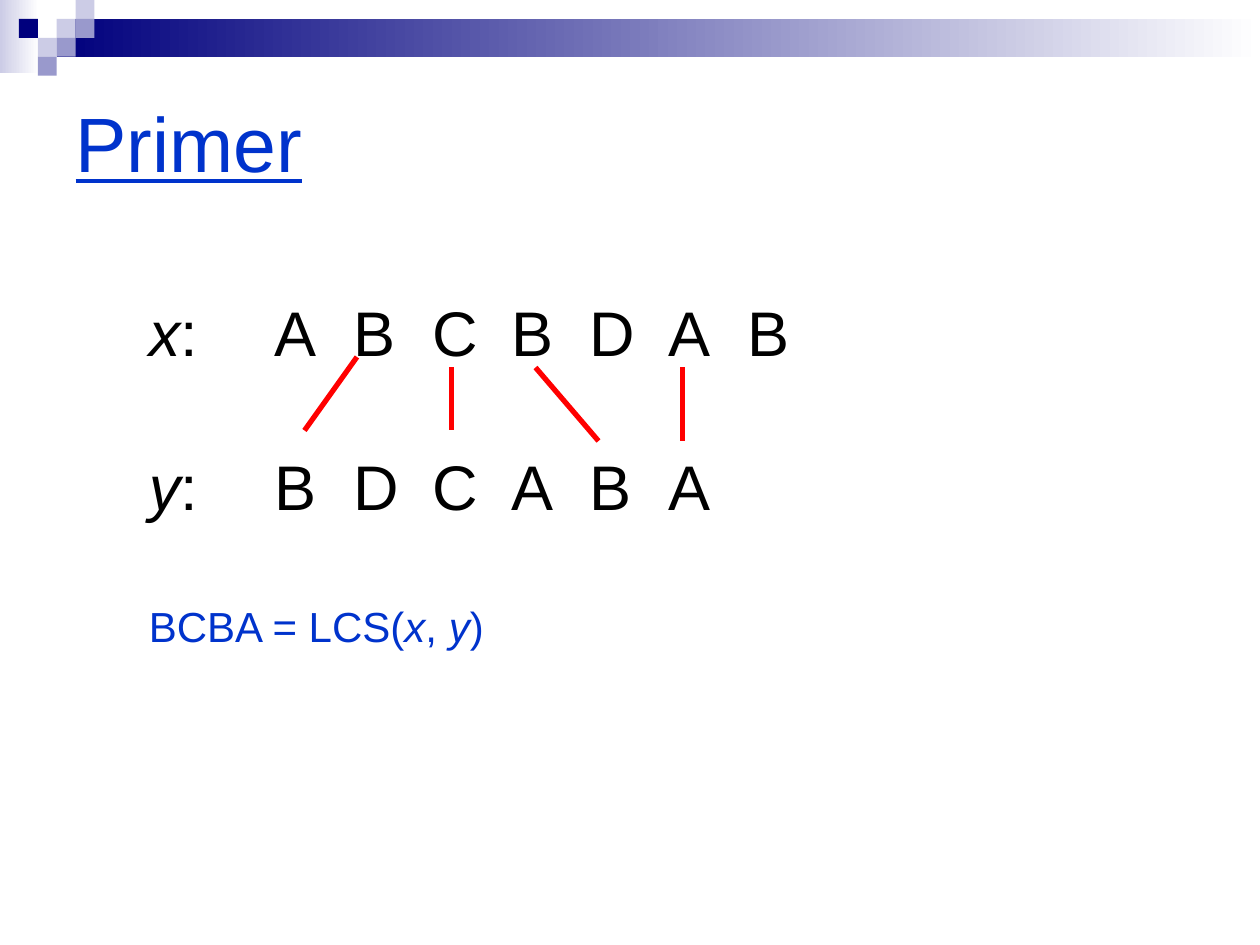
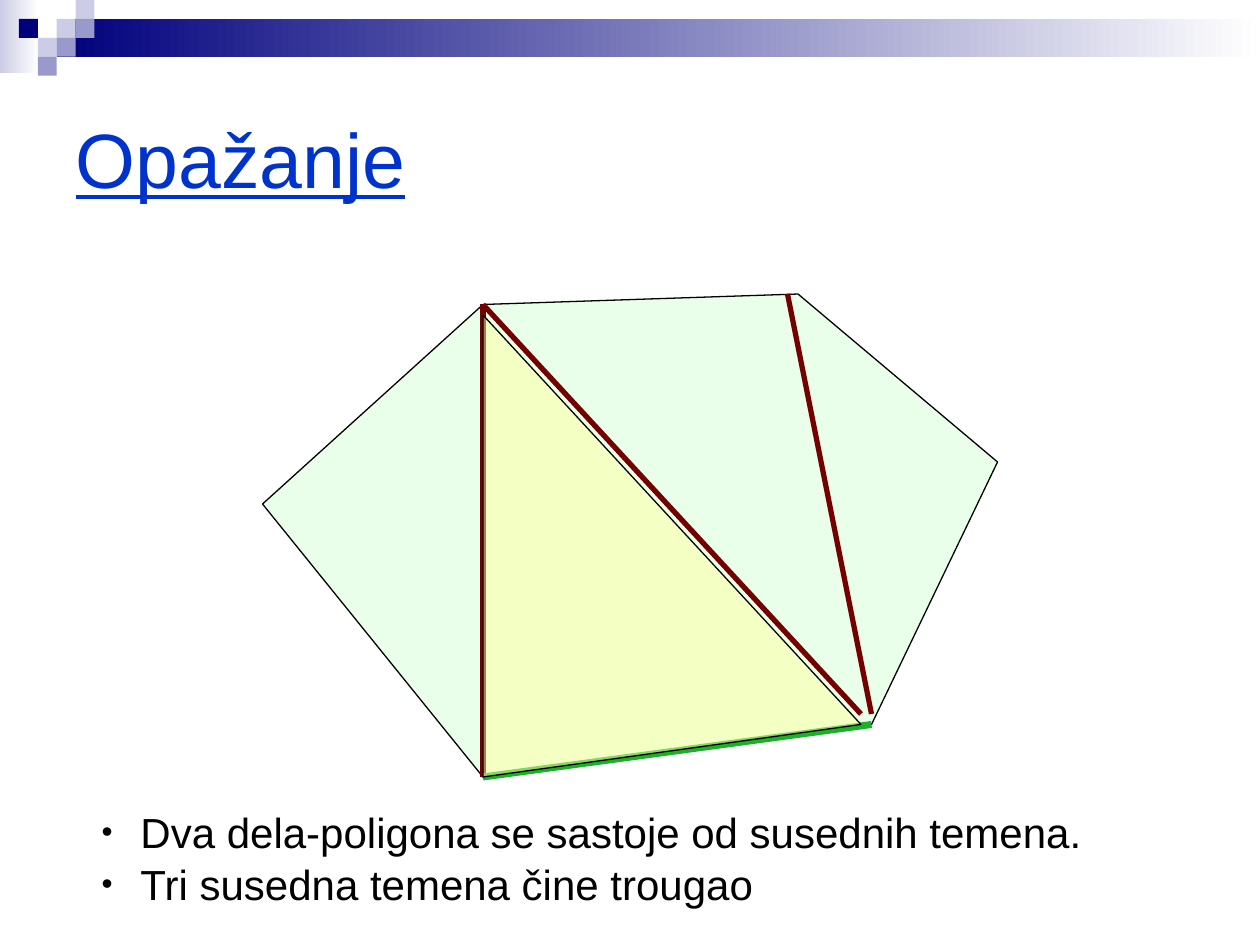
from dataclasses import dataclass

from lxml import etree
from pptx import Presentation
from pptx.dml.color import RGBColor
from pptx.enum.shapes import MSO_CONNECTOR, MSO_SHAPE
from pptx.enum.text import MSO_ANCHOR, MSO_AUTO_SIZE, PP_ALIGN
from pptx.oxml.ns import qn
from pptx.util import Pt

PX = 7620  # EMU, 120 px to the inch
RECT = MSO_SHAPE.RECTANGLE
STRAIGHT = MSO_CONNECTOR.STRAIGHT
MIDDLE = MSO_ANCHOR.MIDDLE
LEFT = PP_ALIGN.LEFT
NO_FIT = MSO_AUTO_SIZE.NONE
TITLE_ONLY = 5


@dataclass(frozen=True)
class Theme:
    font: str = "Arial"
    ink: str = "000000"
    blue: str = "0033CC"
    navy: str = "00007D"
    mid: str = "9999CC"
    pale: str = "CCCCE6"
    white: str = "FFFFFF"
    red: str = "FF0000"
    maroon: str = "740000"
    green: str = "1CB02B"
    mint: str = "CCFFCC"
    lemon: str = "FFFF99"
    title: int = 44
    row: int = 36
    body: int = 24
    leading: float = 1.04
    gap: int = 43


T = Theme()
TILE = 18
TILES = [(3, 1, T.pale), (4, 0, T.pale), (4, 1, T.mid), (2, 2, T.pale),
         (1, 1, T.navy), (3, 2, T.mid), (2, 3, T.mid)]


def rgb(tone):
    return RGBColor.from_string(tone)


def sub(node, tag, **attrs):
    return etree.SubElement(node, qn(tag), attrs)


def add_rect(slide, box, tone, fade=False):
    """Add a borderless rectangle, solid or fading to white on the right."""
    rect = slide.shapes.add_shape(RECT, *(n * PX for n in box))
    rect.shadow.inherit = False
    rect.line.fill.background()
    if fade:
        rect.fill.gradient()
        rect.fill.gradient_angle = 0
        for stop, hue in zip(rect.fill.gradient_stops, (tone, T.white)):
            stop.color.rgb = rgb(hue)
    else:
        rect.fill.solid()
        rect.fill.fore_color.rgb = rgb(tone)
    return rect


def set_band(prs, slide):
    """Draw the top band on a slide, then move it to the master."""
    parts = [add_rect(slide, (0, 0, 37, 70), T.pale, fade=True),
             add_rect(slide, (54, 18, 1146, 36), T.navy, fade=True)]
    parts += [add_rect(slide, (col * TILE, row * TILE, TILE, TILE), tone)
              for col, row, tone in TILES]
    tree = prs.slide_master.shapes.element
    for n, part in enumerate(parts):
        part.element.nvSpPr.cNvPr.set("id", str(50 + n))
        tree.insert(2 + n, part.element)


def add_run(para, text, size, tone=T.ink, slant=False):
    run = para.add_run()
    run.text = text
    run.font.name = T.font
    run.font.size = Pt(size)
    run.font.color.rgb = rgb(tone)
    run.font.italic = slant
    return run


def add_slide(prs, title, high):
    slide = prs.slides.add_slide(prs.slide_layouts[TITLE_ONLY])
    head = slide.shapes.title
    head.left, head.top, head.width, head.height = (
        n * PX for n in (60, 60, 1080, high))
    frame = head.text_frame
    frame.auto_size = NO_FIT
    frame.vertical_anchor = MIDDLE
    para = frame.paragraphs[0]
    para.alignment = LEFT
    add_run(para, title, T.title, T.blue).font.underline = True
    return slide


def add_paras(slide, box, count):
    """Add a text box and return its evenly led paragraphs."""
    frame = slide.shapes.add_textbox(*(n * PX for n in box)).text_frame
    frame.word_wrap = True
    paras = [frame.paragraphs[0]]
    paras += [frame.add_paragraph() for _ in range(count - 1)]
    for para in paras:
        para.line_spacing = T.leading
    return paras


def set_tabs(para, stops):
    tabs = sub(para._p.get_or_add_pPr(), "a:tabLst")
    for stop in stops:
        sub(tabs, "a:tab", pos=str(stop * PX), algn="l")


def set_bullet(para, dent):
    props = para._p.get_or_add_pPr()
    props.set("marL", str(dent * PX))
    props.set("indent", str(-dent * PX))
    sub(sub(props, "a:buClr"), "a:srgbClr", val=T.ink)
    sub(props, "a:buSzPct", val="75000")
    sub(props, "a:buFont", typeface=T.font)
    sub(props, "a:buChar", char="•")


def add_line(slide, ends, tone, width=3):
    line = slide.shapes.add_connector(STRAIGHT, *(n * PX for n in ends))
    line.line.color.rgb = rgb(tone)
    line.line.width = Pt(width)
    sub(line._element.spPr, "a:effectLst")


def add_poly(slide, points, tone, alpha):
    """Add a closed, thinly outlined polygon; alpha is percent opaque."""
    pen = slide.shapes.build_freeform(*points[0], scale=PX)
    pen.add_line_segments(points[1:], close=True)
    poly = pen.convert_to_shape()
    poly.shadow.inherit = False
    poly.fill.solid()
    poly.fill.fore_color.rgb = rgb(tone)
    hue = poly._element.spPr.find(qn("a:solidFill")).find(qn("a:srgbClr"))
    sub(hue, "a:alpha", val=str(alpha * 1000))
    poly.line.color.rgb = rgb(T.ink)
    poly.line.width = Pt(0.75)


def fill_match(slide):
    """Show two letter rows, their matches and the common sequence."""
    *rows, result = add_paras(slide, (130, 271, 660, 348), 3)
    for para, name, word in zip(rows, "xy", ("ABCBDAB", "BDCABA")):
        set_tabs(para, [120 + 75 * n for n in range(len(word))])
        add_run(para, name, T.row, slant=True)
        add_run(para, ":\t" + "\t".join(word), T.row)
    for para in (rows[1], result):
        para.space_before = Pt(T.gap)
    for text in ("BCBA = LCS(", "x", ", ", "y", ")"):
        add_run(result, text, T.body, T.blue, slant=text in ("x", "y"))
    for ends in ((340, 340, 290, 410), (430, 350, 430, 410),
                 (510, 350, 570, 420), (650, 350, 650, 420)):
        add_line(slide, ends, T.red)


def fill_split(slide):
    """Show a polygon cut into triangles, with notes below."""
    apex, base, right = (460, 290), (460, 740), (830, 690)
    add_poly(slide, [(250, 480), apex, (760, 280), (950, 440), right, base],
             T.mint, 41)
    for ends in (apex + base, (750, 280, 830, 680), apex + (820, 680)):
        add_line(slide, ends, T.maroon)
    add_line(slide, base + right, T.green, 4)
    add_poly(slide, [(460, 300), base, (820, 690)], T.lemon, 48)
    notes = ("Dva dela-poligona se sastoje od susednih temena.",
             "Tri susedna temena čine trougao")
    for para, note in zip(add_paras(slide, (85, 760, 980, 108), 2), notes):
        set_bullet(para, 37)
        add_run(para, note, T.body)


def main():
    prs = Presentation()
    prs.slide_width, prs.slide_height = 1200 * PX, 900 * PX
    first = add_slide(prs, "Primer", 150)
    set_band(prs, first)
    fill_match(first)
    fill_split(add_slide(prs, "Opažanje", 180))
    prs.save("out.pptx")


if __name__ == "__main__":
    main()
